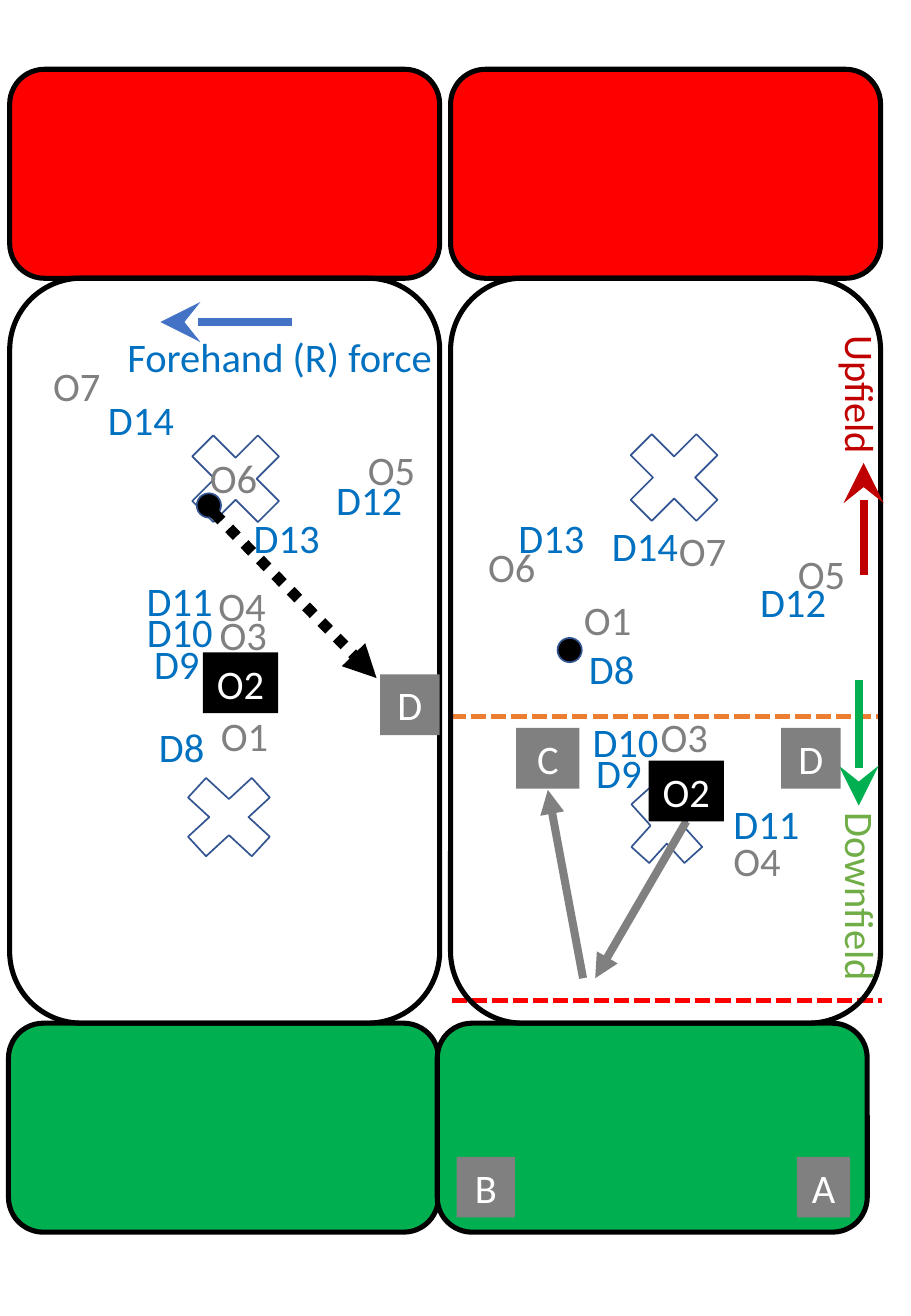
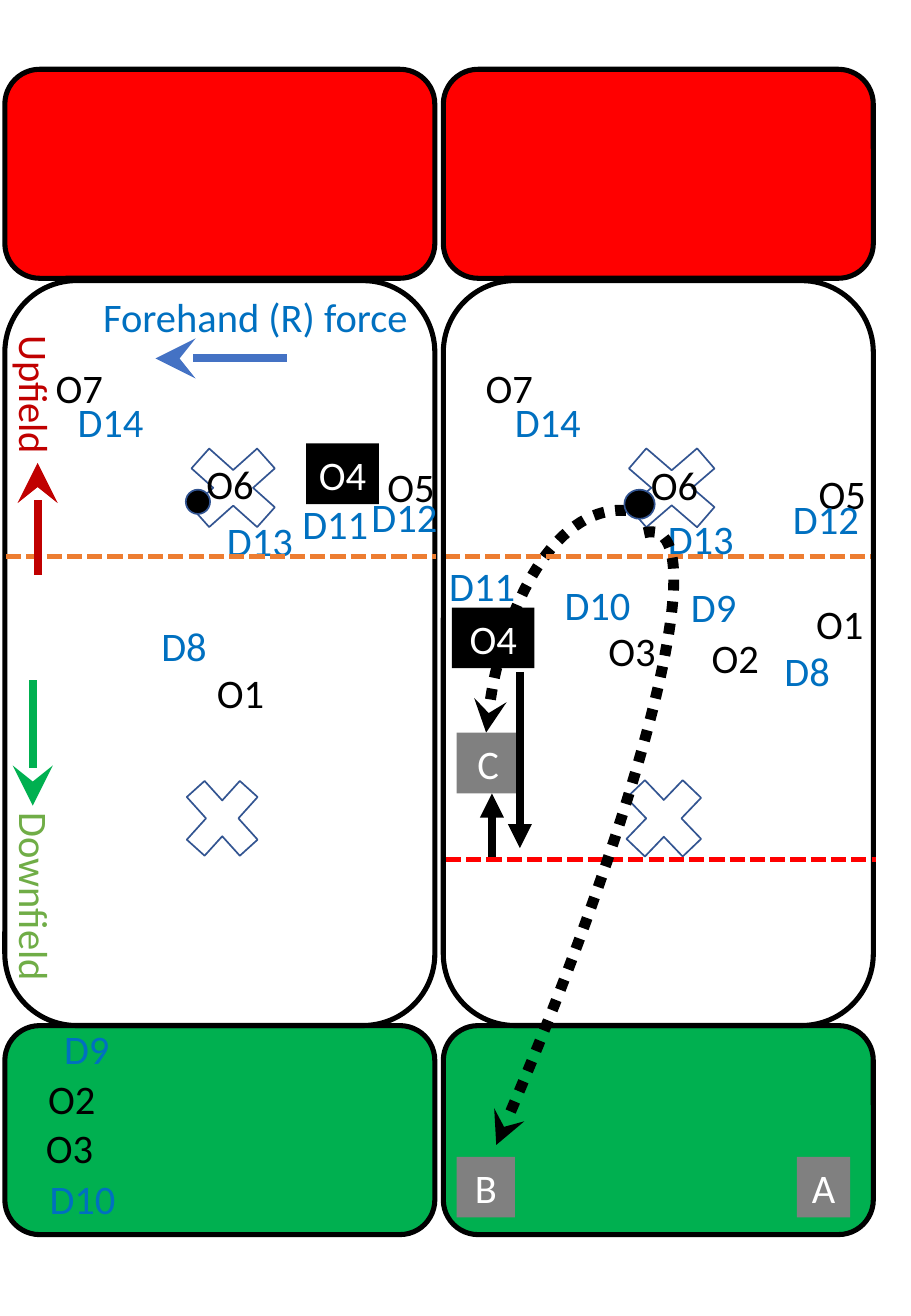
from dataclasses import dataclass
from functools import singledispatch
from typing import Iterable

from lxml import etree
from pptx import Presentation
from pptx.dml.color import RGBColor
from pptx.enum.dml import MSO_LINE
from pptx.enum.shapes import MSO_CONNECTOR, MSO_SHAPE
from pptx.enum.text import MSO_AUTO_SIZE, PP_ALIGN
from pptx.oxml.ns import qn
from pptx.util import Cm, Pt

STRAIGHT = MSO_CONNECTOR.STRAIGHT
ROUNDED, RECTANGLE, OVAL = MSO_SHAPE.ROUNDED_RECTANGLE, MSO_SHAPE.RECTANGLE, MSO_SHAPE.OVAL
MULTIPLY, ARC = MSO_SHAPE.MATH_MULTIPLY, MSO_SHAPE.ARC
DASHES, DOTS = MSO_LINE.SQUARE_DOT, MSO_LINE.ROUND_DOT
LEFT, CENTER = PP_ALIGN.LEFT, PP_ALIGN.CENTER
FIT_TEXT = MSO_AUTO_SIZE.SHAPE_TO_FIT_TEXT

UNIT = Cm(2.54)
ROW = 0.5
FIELD_HEIGHT = 6.13
ZONE_WIDTH, ZONE_HEIGHT = 3.54, 1.72


@dataclass(frozen=True)
class Theme:
    font: str = "Calibri"
    size: float = 24
    white: str = "FFFFFF"
    black: str = "000000"
    grey: str = "808080"
    defence: str = "0070C0"
    force: str = "4472C4"
    outline: str = "325491"
    red: str = "FF0000"
    green: str = "00B050"
    upfield: str = "C00000"
    downfield: str = "70AD47"
    limit: str = "ED7D31"
    border: float = 3
    thin: float = 1
    run: float = 4.75
    throw: float = 6.5


THEME = Theme()


@dataclass(frozen=True)
class Zone:
    x: float
    y: float
    height: float
    fill: str | None = None


@dataclass(frozen=True)
class Cross:
    x: float
    y: float
    width: float
    height: float = 0.93


@dataclass(frozen=True)
class Disc:
    x: float
    y: float
    width: float = 0.2
    height: float = 0.2


@dataclass(frozen=True)
class Label:
    text: str
    x: float
    y: float
    width: float
    color: str
    rotation: float = 0
    align: PP_ALIGN = LEFT


@dataclass(frozen=True)
class Block:
    text: str
    x: float
    y: float
    width: float
    fill: str = THEME.grey


@dataclass(frozen=True)
class Route:
    x1: float
    y1: float
    x2: float
    y2: float
    color: str
    weight: float = THEME.run
    dash: MSO_LINE | None = None
    head: str | None = None
    head_size: str = "med"


@dataclass(frozen=True)
class Throw:
    x: float
    y: float
    width: float
    height: float
    rotation: float = 0
    flipped: bool = False


def lengths(*values: float) -> list[int]:
    return [round(value * UNIT) for value in values]


def style_line(line, color: str, weight: float, dash: MSO_LINE | None = None) -> None:
    line.color.rgb = RGBColor.from_string(color)
    line.width = Pt(weight)
    if dash is not None:
        line.dash_style = dash


def add_head(shape, kind: str, size: str) -> None:
    outline = shape.line._get_or_add_ln()
    etree.SubElement(outline, qn("a:tailEnd"), type=kind, w=size, len=size)


def add_outline(slide, preset: MSO_SHAPE, box: list[int], fill: str | None = None,
                line: str | None = None, weight: float = THEME.thin):
    shape = slide.shapes.add_shape(preset, *box)
    shape.shadow.inherit = False
    if fill:
        shape.fill.solid()
        shape.fill.fore_color.rgb = RGBColor.from_string(fill)
    else:
        shape.fill.background()
    if line:
        style_line(shape.line, line, weight)
    else:
        shape.line.fill.background()
    return shape


def write(shape, text: str, color: str, align: PP_ALIGN) -> None:
    frame = shape.text_frame
    frame.word_wrap = True
    frame.auto_size = FIT_TEXT
    paragraph = frame.paragraphs[0]
    paragraph.alignment = align
    run = paragraph.add_run()
    run.text = text
    run.font.name = THEME.font
    run.font.size = Pt(THEME.size)
    run.font.color.rgb = RGBColor.from_string(color)


@singledispatch
def draw(part, slide) -> None:
    raise TypeError(part)


@draw.register
def draw_zone(zone: Zone, slide) -> None:
    box = lengths(zone.x, zone.y, ZONE_WIDTH, zone.height)
    add_outline(slide, ROUNDED, box, zone.fill, THEME.black, THEME.border)


@draw.register
def draw_cross(cross: Cross, slide) -> None:
    box = lengths(cross.x, cross.y, cross.width, cross.height)
    add_outline(slide, MULTIPLY, box, line=THEME.outline)


@draw.register
def draw_disc(disc: Disc, slide) -> None:
    box = lengths(disc.x, disc.y, disc.width, disc.height)
    add_outline(slide, OVAL, box, THEME.black, THEME.outline)


@draw.register
def draw_label(label: Label, slide) -> None:
    box = slide.shapes.add_textbox(*lengths(label.x, label.y, label.width, ROW))
    box.rotation = label.rotation
    write(box, label.text, label.color, label.align)


@draw.register
def draw_block(block: Block, slide) -> None:
    box = lengths(block.x, block.y, block.width, ROW)
    write(add_outline(slide, RECTANGLE, box, block.fill), block.text, THEME.white, CENTER)


@draw.register
def draw_route(route: Route, slide) -> None:
    ends = lengths(route.x1, route.y1, route.x2, route.y2)
    connector = slide.shapes.add_connector(STRAIGHT, *ends)
    style_line(connector.line, route.color, route.weight, route.dash)
    if route.head:
        add_head(connector, route.head, route.head_size)
    etree.SubElement(connector._element.spPr, qn("a:effectLst"))


@draw.register
def draw_throw(throw: Throw, slide) -> None:
    box = lengths(throw.x, throw.y, throw.width, throw.height)
    arc = add_outline(slide, ARC, box, line=THEME.black, weight=THEME.throw)
    arc.adjustments[0], arc.adjustments[1] = 161.319, 202.581
    arc.rotation = throw.rotation
    arc.line.dash_style = DOTS
    add_head(arc, "stealth", "med")
    if throw.flipped:
        arc._element.spPr.find(qn("a:xfrm")).set("flipH", "1")


def pitch(x: float, end_x: float, field_y: float) -> list[Zone]:
    return [
        Zone(end_x, field_y + FIELD_HEIGHT, ZONE_HEIGHT, THEME.green),
        Zone(x, 0.57, ZONE_HEIGHT, THEME.red),
        Zone(x, field_y, FIELD_HEIGHT),
    ]


def players(offence: str, *spots: tuple) -> list[Label]:
    return [Label(text, x, y, width, THEME.defence if text[0] == "D" else offence)
            for text, x, y, width in spots]


def pointer(x1: float, y1: float, x2: float, y2: float, color: str) -> Route:
    return Route(x1, y1, x2, y2, color, head="stealth", head_size="lg")


def boundary(x: float, y: float, color: str) -> Route:
    return Route(x, y, x + 3.54, y, color, THEME.border, DASHES)


def run_to(x1: float, y1: float, x2: float, y2: float, color: str) -> Route:
    return Route(x1, y1, x2, y2, color, head="triangle")


def directions(x: float) -> list:
    return [
        Label("Upfield", x - 0.65, 3.08, 1.34, THEME.upfield, 90),
        Label("Downfield", x - 0.84, 7.2, 1.72, THEME.downfield, 90),
        pointer(x, 5.6, x, 6.63, THEME.green),
        pointer(x + 0.04, 4.73, x + 0.04, 3.81, THEME.upfield),
    ]


def force(arrow_x: float, arrow_y: float, x: float, y: float, width: float) -> list:
    return [
        pointer(arrow_x + 1.08, arrow_y, arrow_x, arrow_y, THEME.force),
        Label("Forehand (R) force", x, y, width, THEME.defence),
    ]


CORNERS = [Block("A", 6.56, 9.52, 0.44), Block("B", 3.76, 9.52, 0.48)]

RESET_PLAY = [
    *pitch(0.08, 0.07, 2.29),
    Cross(1.38, 6.26, 1.01), Cross(1.42, 3.42, 1.04, 1.04),
    Block("O2", 1.67, 5.37, 0.62, THEME.black),
    *players(THEME.grey, ("O1", 1.72, 5.8, 0.63), ("O3", 1.71, 4.97, 0.79),
             ("O4", 1.7, 4.73, 0.85), ("O6", 1.63, 3.68, 0.92), ("O7", 0.34, 2.92, 0.83),
             ("D8", 1.21, 5.89, 0.79), ("D9", 1.17, 5.21, 0.79), ("D10", 1.11, 4.95, 0.75),
             ("D11", 1.11, 4.69, 0.77), ("D12", 2.67, 3.86, 0.77), ("D13", 1.99, 4.17, 0.8),
             ("D14", 0.79, 3.2, 1.04), ("O5", 2.93, 3.61, 0.67)),
    *force(1.32, 2.65, 0.95, 2.68, 2.84),
    Disc(1.62, 4.06),
    boundary(3.71, 5.9, THEME.limit), boundary(3.72, 8.23, THEME.red),
    *pitch(3.71, 3.6, 2.29),
    Cross(5.07, 6.33, 0.84), Cross(5.03, 3.41, 1.04, 1.04),
    *players(THEME.grey, ("O3", 5.34, 5.81, 0.83), ("O4", 5.94, 6.83, 0.73),
             ("D8", 4.75, 5.25, 0.82), ("D9", 4.81, 6.11, 0.65), ("D10", 4.78, 5.85, 0.87),
             ("D11", 5.94, 6.53, 0.81), ("O6", 3.92, 4.41, 0.92), ("O7", 5.49, 4.28, 0.83),
             ("D12", 6.16, 4.7, 0.77), ("D13", 4.17, 4.17, 0.8), ("D14", 4.94, 4.24, 1.04),
             ("O5", 6.47, 4.47, 0.67), ("O1", 4.71, 4.85, 0.63)),
    Disc(4.59, 5.25),
    run_to(5.65, 6.76, 4.9, 8.05, THEME.grey), run_to(4.8, 8.05, 4.51, 6.5, THEME.grey),
    Block("C", 4.25, 5.99, 0.52),
    *directions(7.07),
    Block("D", 6.43, 5.99, 0.49),
    *CORNERS,
    Route(1.76, 4.22, 3.1, 5.58, THEME.black, THEME.throw, DOTS, "triangle"),
    Block("D", 3.13, 5.55, 0.49), Block("O2", 5.34, 6.26, 0.62, THEME.black),
]

DEEP_PLAY = [
    Throw(3.98, 4.2, 2.26, 4.57, flipped=True),
    boundary(3.66, 4.58, THEME.limit),
    Block("C", 3.76, 6.03, 0.52),
    *pitch(3.65, 3.65, 2.31),
    Cross(5.02, 6.27, 0.89), Cross(4.99, 3.55, 1.08),
    Block("O4", 3.72, 5, 0.68, THEME.black),
    *players(THEME.black, ("D11", 3.6, 4.57, 0.74), ("O2", 5.76, 5.16, 0.68),
             ("O1", 6.62, 4.88, 0.61), ("O3", 4.91, 5.1, 0.68), ("O5", 6.64, 3.81, 0.68),
             ("O6", 5.26, 3.74, 0.73), ("O7", 3.9, 2.94, 0.68), ("D8", 6.36, 5.27, 0.68),
             ("D9", 5.59, 4.74, 0.68), ("D10", 4.55, 4.72, 0.9), ("D12", 6.43, 4.02, 0.9),
             ("D13", 5.4, 4.18, 0.9), ("D14", 4.14, 3.22, 0.9)),
    Disc(5.14, 4.03, 0.25, 0.24),
    run_to(4.28, 5.53, 4.28, 6.98, THEME.black), run_to(4.05, 7.07, 4.05, 6.53, THEME.black),
    boundary(3.67, 7.07, THEME.red),
    *pitch(0.04, 0.04, 2.31),
    Cross(1.41, 6.27, 0.84), Cross(1.4, 3.55, 1.04),
    Label("O2", 0.28, 8.79, 0.62, THEME.black, align=CENTER),
    Label("O1", 1.61, 5.45, 0.74, THEME.black, align=CENTER),
    Block("O4", 2.52, 3.65, 0.6, THEME.black),
    *players(THEME.black, ("O3", 0.28, 9.19, 0.62), ("O5", 3.09, 3.75, 0.72),
             ("O6", 1.6, 3.73, 0.65), ("O7", 0.36, 2.94, 0.7), ("D8", 1.23, 5.06, 0.78),
             ("D9", 0.43, 8.38, 1.26), ("D10", 0.31, 9.61, 0.92), ("D11", 2.39, 4.06, 0.88),
             ("D12", 2.96, 4, 0.8), ("D13", 1.77, 4.2, 0.78), ("D14", 0.54, 3.22, 0.98)),
    *force(1.28, 2.95, 0.75, 2.35, 3.68),
    Disc(1.53, 4.03),
    boundary(0.05, 4.58, THEME.limit),
    *directions(0.27),
    *CORNERS,
    Throw(2.34, 3.91, 1.68, 10.97, rotation=24.1),
]


def build(plays: Iterable[list]) -> None:
    deck = Presentation()
    deck.slide_width, deck.slide_height = lengths(7.5, 10.83)
    for play in plays:
        slide = deck.slides.add_slide(deck.slide_layouts[6])
        for part in play:
            draw(part, slide)
    deck.save("out.pptx")


if __name__ == "__main__":
    build([RESET_PLAY, DEEP_PLAY])
